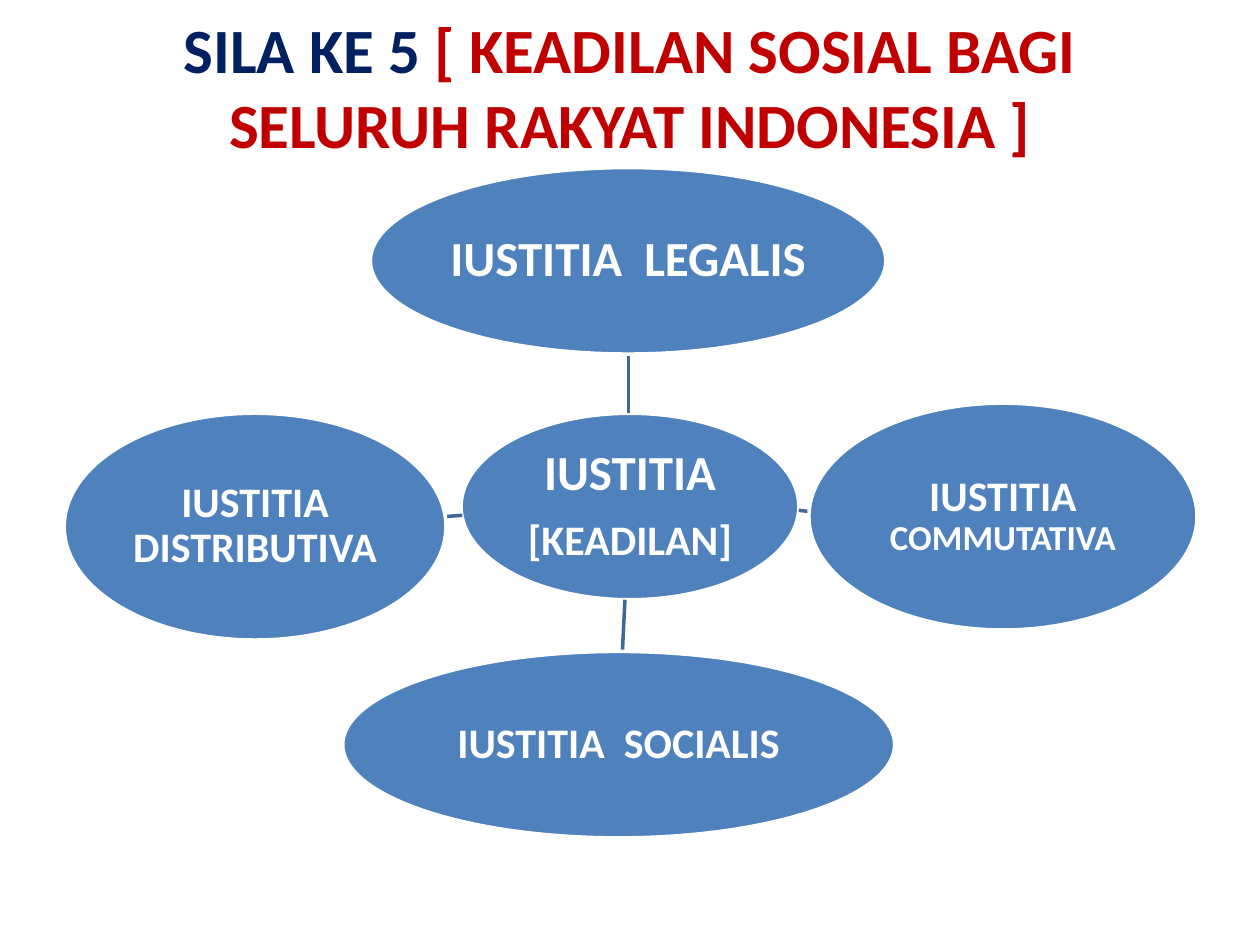
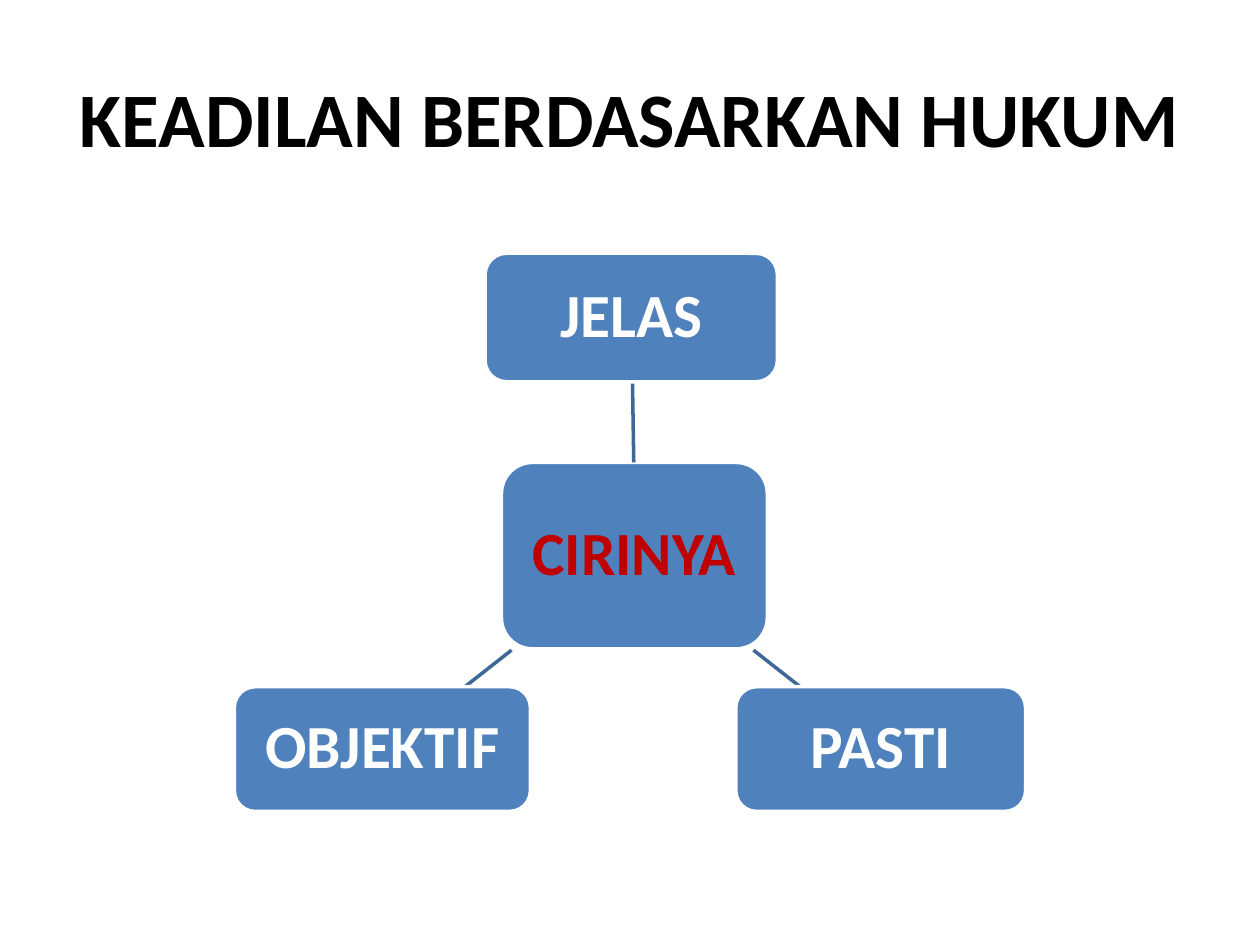
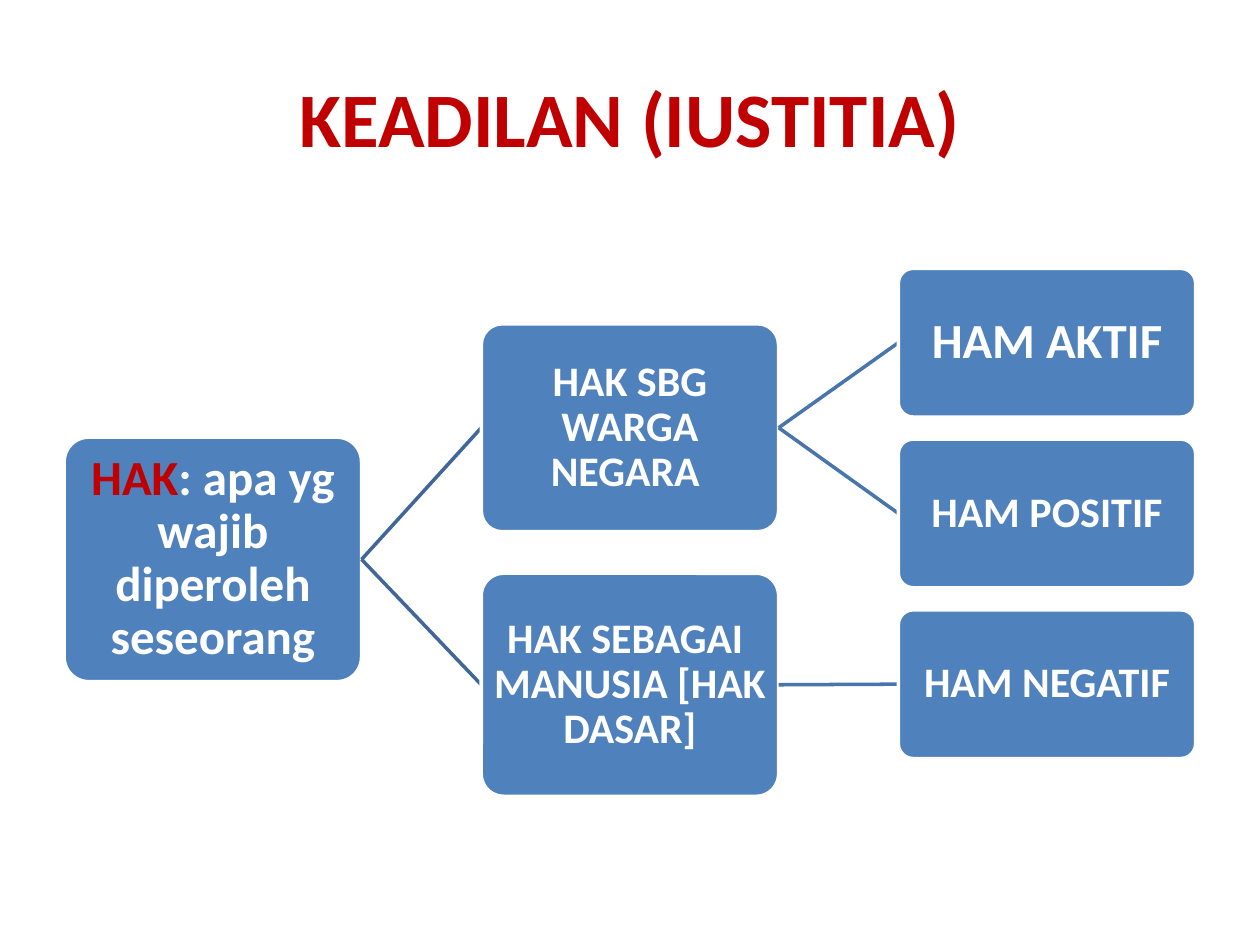
from pptx import Presentation
from pptx.dml.color import RGBColor
from pptx.enum.shapes import MSO_CONNECTOR, MSO_SHAPE
from pptx.enum.text import MSO_ANCHOR, PP_ALIGN
from pptx.oxml.ns import qn
from pptx.util import Emu, Pt

# Shared style: 100 px to the inch
PX = 9144
SLIDE_SIZE = (1000, 750)
FONT = "Calibri"
COLOURS = {
    "white": "FFFFFF",
    "black": "000000",
    "navy": "002060",
    "red": "C00000",
    "node": "4F81BD",
    "link": "3F6797",
    "light link": "4875AC",
}
ELLIPSE = MSO_SHAPE.OVAL
ROUNDED = MSO_SHAPE.ROUNDED_RECTANGLE
STRAIGHT = MSO_CONNECTOR.STRAIGHT
CENTER = PP_ALIGN.CENTER
MIDDLE = MSO_ANCHOR.MIDDLE
LINE_WIDTH = 2
TITLE_BOX = (50, 30, 900, 125)


def px(value):
    return Emu(round(value * PX))


def colour(name):
    return RGBColor.from_string(COLOURS[name])


def write(shape, paragraphs, size=24, color="white", spacing=None, after=0, insets=(10, 5)):
    """Fill a shape with paragraphs, each a list of (text, overrides) runs."""
    frame = shape.text_frame
    frame.word_wrap = True
    frame.vertical_anchor = MIDDLE
    frame.margin_left = frame.margin_right = px(insets[0])
    frame.margin_top = frame.margin_bottom = px(insets[1])
    for index, runs in enumerate(paragraphs):
        paragraph = frame.add_paragraph() if index else frame.paragraphs[0]
        paragraph.alignment = CENTER
        if spacing:
            paragraph.line_spacing = spacing
        if after and index < len(paragraphs) - 1:
            paragraph.space_after = Pt(after)
        for text, overrides in runs:
            run = paragraph.add_run()
            run.text = text
            run.font.name = FONT
            run.font.bold = True
            run.font.size = Pt(overrides.get("size", size))
            run.font.color.rgb = colour(overrides.get("color", color))


def add_title(slide, runs, box=TITLE_BOX, size=44, color="black"):
    shape = slide.shapes.add_textbox(*map(px, box))
    write(shape, [runs], size=size, color=color)


def add_node(slide, kind, box, paragraphs, size=24, color="white", inset=2, corner=None):
    shape = slide.shapes.add_shape(kind, *map(px, box))
    shape.shadow.inherit = False
    if corner is not None:
        shape.adjustments[0] = corner
    shape.fill.solid()
    shape.fill.fore_color.rgb = colour("node")
    shape.line.color.rgb = colour("white")
    shape.line.width = Pt(LINE_WIDTH)
    write(shape, paragraphs, size=size, color=color, spacing=0.9, after=10,
          insets=(inset, inset))


def add_link(slide, start, end, color="link"):
    link = slide.shapes.add_connector(STRAIGHT, *map(px, (*start, *end)))
    link.line.color.rgb = colour(color)
    link.line.width = Pt(LINE_WIDTH)
    properties = link._element.spPr
    properties.append(properties.makeelement(qn("a:effectLst"), {}))


def add_branch(slide, parent, child, color="link"):
    """Join the right middle of a parent box to the left middle of a child box."""
    left, top, width, height = parent
    add_link(slide, (left + width, top + height / 2),
             (child[0], child[1] + child[3] / 2), color)


def build_justice_types(slide):
    add_title(slide, [("SILA KE 5 ", {"color": "navy"}),
                      ("[ KEADILAN SOSIAL BAGI SELURUH RAKYAT INDONESIA ]", {})],
              box=(50, 21, 900, 94), size=36, color="red")
    add_node(slide, ELLIPSE, (366, 328, 268, 148),
             [[("IUSTITIA", {"size": 28})], [("[KEADILAN]", {})]])
    # Each type: link start, link end, ellipse box, runs
    types = [
        ((499, 328), (499, 281), (294, 133, 409, 148), [("IUSTITIA  LEGALIS", {"size": 28})]),
        ((634, 405), (642, 406), (642, 320, 308, 180),
         [("IUSTITIA ", {}), ("COMMUTATIVA", {"size": 20})]),
        ((496, 476), (494, 517), (272, 517, 438, 148), [("IUSTITIA  SOCIALIS", {})]),
        ((367, 409), (353, 410), (51, 328, 303, 180), [("IUSTITIA DISTRIBUTIVA", {})]),
    ]
    for start, end, box, runs in types:
        add_link(slide, start, end)
        add_node(slide, ELLIPSE, box, [runs])


def build_law_traits(slide):
    add_title(slide, [("KEADILAN BERDASARKAN HUKUM", {})])
    add_node(slide, ROUNDED, (398, 367, 211, 148), [[("CIRINYA", {})]],
             size=35, color="red", inset=10)
    # Each trait: link start, link end, box, label
    traits = [
        ((503, 367), (502, 303), (385, 201, 232, 102), "JELAS"),
        ((598, 516), (635, 545), (584, 545, 230, 99), "PASTI"),
        ((406, 516), (369, 545), (186, 545, 235, 99), "OBJEKTIF"),
    ]
    for start, end, box, label in traits:
        add_link(slide, start, end)
        add_node(slide, ROUNDED, box, [[(label, {})]], size=35, inset=10)


def build_rights_tree(slide):
    add_title(slide, [("KEADILAN (IUSTITIA)", {})], color="red")
    root = (51, 347, 236, 194)
    add_node(slide, ROUNDED, root,
             [[("HAK", {"color": "red"}), (": apa yg wajib diperoleh seseorang", {})]],
             size=28, corner=0.1)
    # Second level
    citizen, human = (382, 257, 236, 165), (382, 455, 236, 177)
    for box, label in ((citizen, "HAK SBG WARGA NEGARA "),
                       (human, "HAK SEBAGAI  MANUSIA [HAK DASAR]")):
        add_branch(slide, root, box)
        add_node(slide, ROUNDED, box, [[(label, {})]], corner=0.1)
    # Third level, evenly stacked
    leaves = [(citizen, "HAM AKTIF", 28), (citizen, "HAM POSITIF", 24),
              (human, "HAM NEGATIF", 24)]
    for row, (parent, label, size) in enumerate(leaves):
        box = (713, 213 + 271 * row / 2, 236, 118)
        add_branch(slide, parent, box, "light link")
        add_node(slide, ROUNDED, box, [[(label, {})]], size=size, corner=0.1)


def main():
    presentation = Presentation()
    presentation.slide_width, presentation.slide_height = map(px, SLIDE_SIZE)
    blank = presentation.slide_layouts[6]
    for build in (build_justice_types, build_law_traits, build_rights_tree):
        build(presentation.slides.add_slide(blank))
    presentation.save("out.pptx")


if __name__ == "__main__":
    main()
